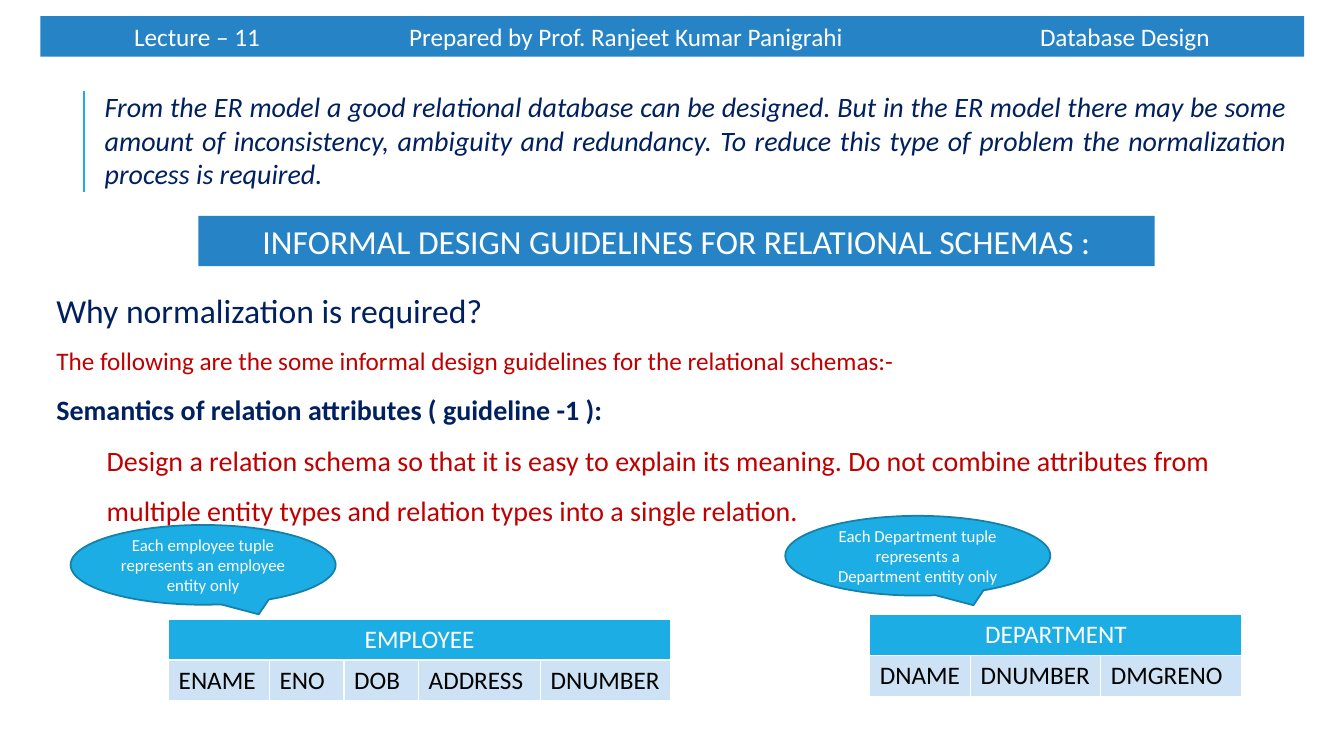
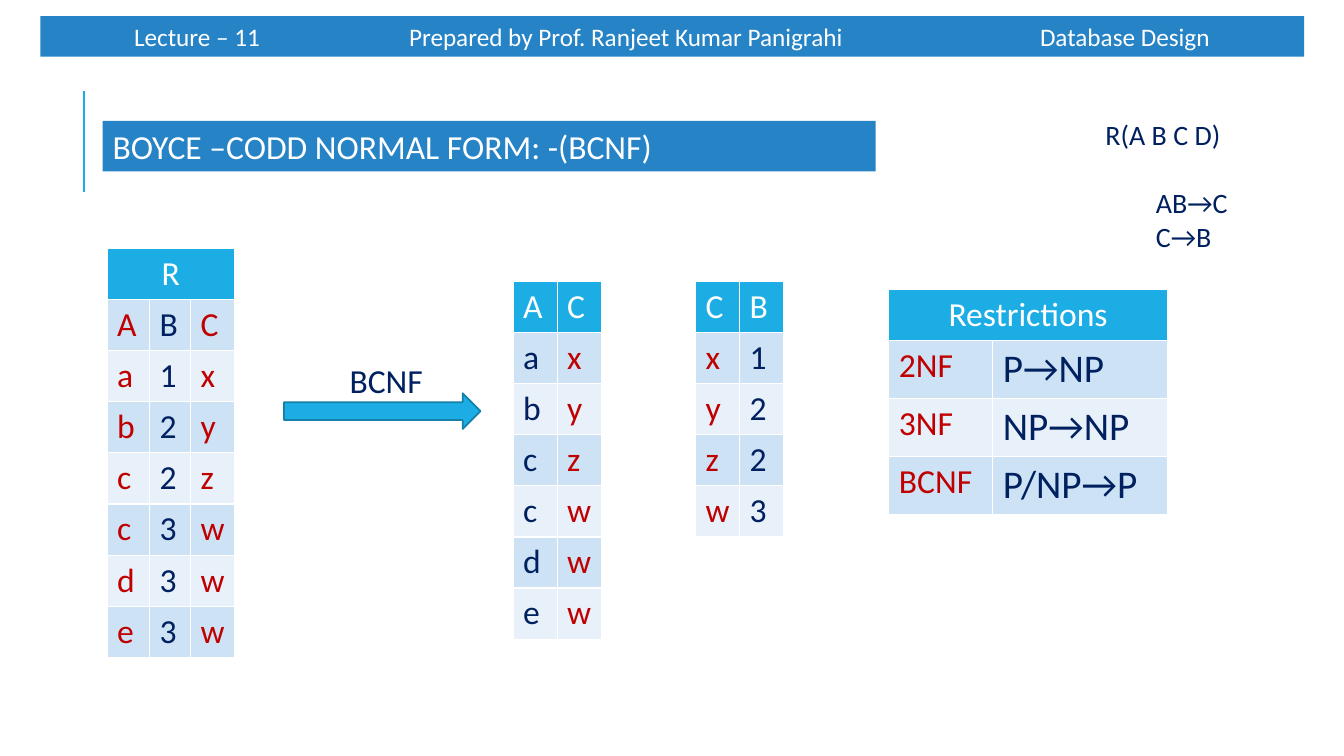
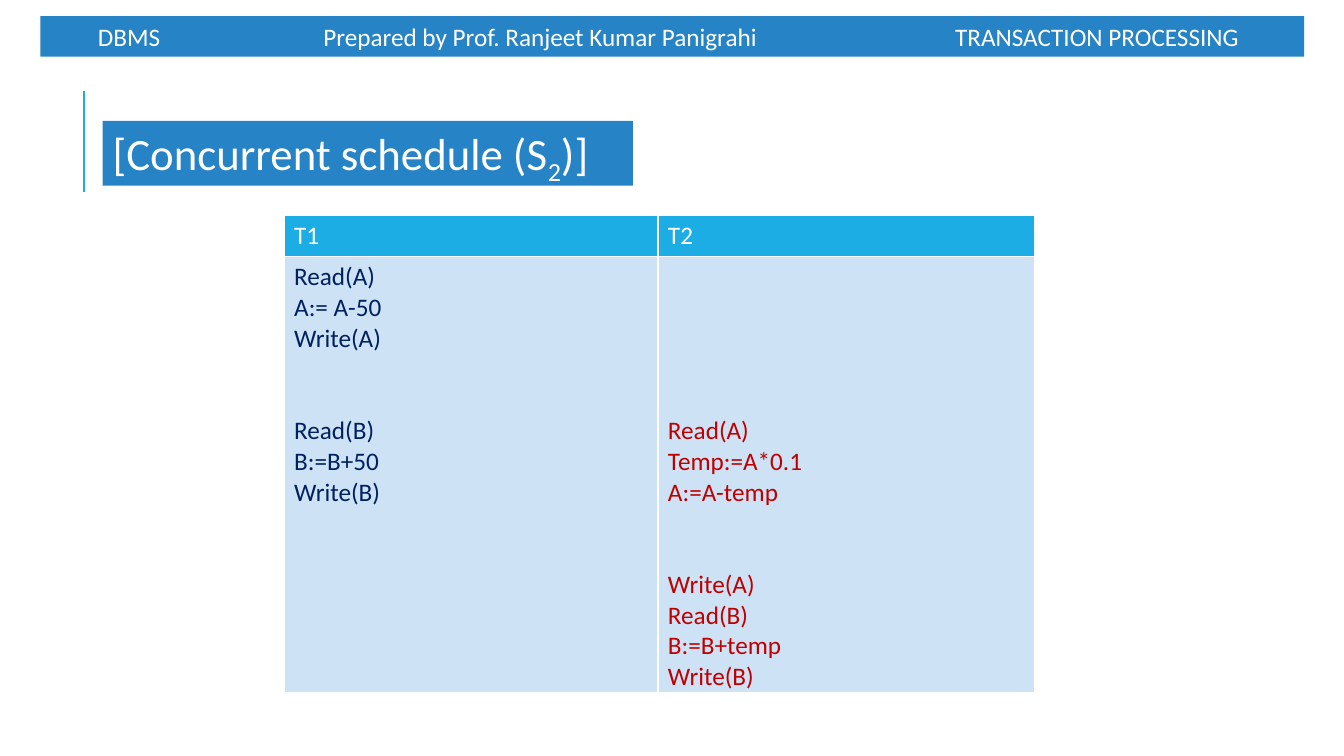
import pptx
import pptx.util
import pptx.dml.color
import pptx.enum.shapes
import pptx.enum.text
import pptx.oxml
import pptx.oxml.ns

Cm = pptx.util.Cm
Pt = pptx.util.Pt
RGBColor = pptx.dml.color.RGBColor
SHAPE = pptx.enum.shapes.MSO_SHAPE
ALIGN = pptx.enum.text.PP_ALIGN
ANCHOR = pptx.enum.text.MSO_ANCHOR
qn = pptx.oxml.ns.qn

FONT = "Calibri"
WHITE = RGBColor(0xFF, 0xFF, 0xFF)
BLACK = RGBColor(0, 0, 0)
NAVY = RGBColor(0x00, 0x20, 0x60)
RED = RGBColor(0xC0, 0x00, 0x00)
BLUE = RGBColor(0x26, 0x83, 0xC6)
CYAN = RGBColor(0x1C, 0xAD, 0xE4)
CYAN_EDGE = RGBColor(0x15, 0x80, 0xA9)
STRIPES = (RGBColor(0xCD, 0xE3, 0xF5), RGBColor(0xE8, 0xF1, 0xFA))

# Content: lengths in centimetres, text sizes in points
AUTHOR = "Prepared by Prof. Ranjeet Kumar Panigrahi"
# Band: three texts, left inset, tab stops measured from the inset
DESIGN_BAND = (("Lecture – 11", AUTHOR, "Database Design"), 2.36, (6.93, 22.83))
TRANSACTION_BAND = (("DBMS", AUTHOR, "TRANSACTION PROCESSING"), 1.45, (5.68, 21.6))

INTRODUCTION = (
    "From the ER model a good relational database can be designed. But in the ER model "
    "there may be some amount of inconsistency, ambiguity and redundancy. To reduce this "
    "type of problem the normalization process is required."
)
GUIDELINES = [
    dict(text="Why normalization is required?", size=24),
    dict(text="The following are the some informal design guidelines for the relational schemas:-",
         size=18, color=RED),
    dict(text="Semantics of relation attributes ( guideline -1 ):", bold=True),
    dict(text="Design a relation schema so that it is easy to explain its meaning. Do not combine "
              "attributes from multiple entity types and relation types into a single relation.",
         color=RED, indent=1.27),
]
CALLOUTS = [
    (1.78, 13.23, "Each employee tuple represents an employee entity only"),
    (19.79, 13.0, "Each Department tuple represents a Department entity only"),
]
SCHEMA_TABLES = [
    dict(left=4.25, top=15.6, widths=(2.54, 1.88, 1.88, 3.07, 3.28), header=["EMPLOYEE"],
         rows=[("ENAME", "ENO", "DOB", "ADDRESS", "DNUMBER")]),
    dict(left=21.92, top=15.49, widths=(2.54, 3.28, 3.56), header=["DEPARTMENT"],
         rows=[("DNAME", "DNUMBER", "DMGRENO")]),
]
BCNF_TABLES = [
    dict(left=2.7, top=6.26, widths=(1.07, 1.03, 1.11), header=["R"], colors=(RED, NAVY, RED),
         rows=["ABC", "a1x", "b2y", "c2z", "c3w", "d3w", "e3w"]),
    dict(left=12.93, top=7.09, widths=(1.11, 1.11), header="AC", colors=(NAVY, RED),
         rows=["ax", "by", "cz", "cw", "dw", "ew"]),
    dict(left=17.53, top=7.09, widths=(1.11, 1.11), header="CB", colors=(RED, NAVY),
         rows=["x1", "y2", "z2", "w3"]),
    dict(left=22.4, top=7.29, widths=(2.62, 4.4), header=["Restrictions"], colors=(RED, NAVY),
         rows=[("2NF", "P→NP"), ("3NF", "NP→NP"), ("BCNF", "P/NP→P")],
         sizes=(24, 28), row_height=1.44),
]
DEPENDENCIES = [
    dict(text="R(A B C D)"),
    dict(text="AB→C", indent=1.27, before=24.4),
    dict(text="C→B", indent=1.27),
]
# Each transaction: colour, inset above its first step, blocks of steps
SCHEDULE = [
    (NAVY, 0.13, [["Read(A)", "A:= A-50", "Write(A)"], ["Read(B)", "B:=B+50", "Write(B)"]]),
    (RED, 4.0, [["Read(A)", "Temp:=A*0.1", "A:=A-temp"],
                ["Write(A)", "Read(B)", "B:=B+temp", "Write(B)"]]),
]
BLOCK_GAP = 44


def add_run(paragraph, text, size, color, bold=False, italic=False):
    run = paragraph.add_run()
    run.text = text
    font = run.font
    font.name, font.size, font.bold, font.italic = FONT, Pt(size), bold, italic
    font.color.rgb = color
    return run


def fill_frame(frame, items, spacing=None, align=None):
    """Write a list of paragraph descriptions into a text frame."""
    frame.word_wrap = True
    for index, item in enumerate(items):
        paragraph = frame.paragraphs[0] if index == 0 else frame.add_paragraph()
        if "indent" in item:
            properties = paragraph._p.get_or_add_pPr()
            properties.set("marL", str(Cm(item["indent"])))
            properties.set("indent", "0")
        if "before" in item:
            paragraph.space_before = Pt(item["before"])
        if spacing:
            paragraph.line_spacing = spacing
        paragraph.alignment = align or ALIGN.LEFT
        add_run(paragraph, item["text"], item.get("size", 20), item.get("color", NAVY),
                item.get("bold", False), item.get("italic", False))


def add_text(slide, box, items, **options):
    frame = slide.shapes.add_textbox(*map(Cm, box)).text_frame
    fill_frame(frame, items, **options)
    return frame


def add_block(slide, kind, box, fill, edge=None):
    shape = slide.shapes.add_shape(kind, *map(Cm, box))
    shape.shadow.inherit = False
    shape.fill.solid()
    shape.fill.fore_color.rgb = fill
    if edge is None:
        shape.line.fill.background()
    else:
        shape.line.color.rgb = edge
        shape.line.width = Pt(1.25)
    return shape


def add_title(slide, box, text, size, align=ALIGN.LEFT):
    frame = add_block(slide, SHAPE.RECTANGLE, box, BLUE).text_frame
    frame.vertical_anchor = ANCHOR.TOP
    fill_frame(frame, [dict(text=text, size=size, color=WHITE)], align=align)
    return frame.paragraphs[0]


def add_slide(presentation, band):
    """Start a slide with the shared top band and accent line."""
    slide = presentation.slides.add_slide(presentation.slide_layouts[6])
    line = slide.shapes.add_connector(pptx.enum.shapes.MSO_CONNECTOR.STRAIGHT,
                                      Cm(2.11), Cm(4.83), Cm(2.11), Cm(2.29))
    line.line.color.rgb = CYAN
    line.line.width = Pt(1.5)
    pptx.oxml.ns  # namespace map used by qn
    line._element.spPr.append(line._element.spPr.makeelement(qn("a:effectLst"), {}))

    texts, inset, stops = band
    frame = add_block(slide, SHAPE.RECTANGLE, (1.02, 0.41, 31.85, 1.02), BLUE).text_frame
    frame.vertical_anchor = ANCHOR.TOP
    frame.word_wrap = True
    frame.margin_left = Cm(inset)
    paragraph = frame.paragraphs[0]
    paragraph.alignment = ALIGN.LEFT
    properties = paragraph._p.get_or_add_pPr()
    tabs = properties.makeelement(qn("a:tabLst"), {})
    properties.append(tabs)
    for stop in stops:
        tabs.append(tabs.makeelement(qn("a:tab"), {"pos": str(Cm(stop)), "algn": "l"}))
    add_run(paragraph, "\t".join(texts), 18, WHITE)
    return slide


def style_cell(cell, fill):
    """Give a cell white borders and a solid fill."""
    properties = cell._tc.get_or_add_tcPr()
    for side in ("lnL", "lnR", "lnT", "lnB"):
        border = properties.makeelement(qn("a:" + side), {"w": str(Pt(1))})
        solid = border.makeelement(qn("a:solidFill"), {})
        solid.append(solid.makeelement(qn("a:srgbClr"), {"val": str(WHITE)}))
        border.append(solid)
        properties.append(border)
    cell.fill.solid()
    cell.fill.fore_color.rgb = fill


def add_table(slide, left, top, widths, header, rows, colors=None, sizes=None,
              size=24, header_height=1.27, row_height=1.27):
    """A one-item header spans all columns; body rows are striped."""
    height = header_height + row_height * len(rows)
    table = slide.shapes.add_table(len(rows) + 1, len(widths), Cm(left), Cm(top),
                                   Cm(sum(widths)), Cm(height)).table
    for column, width in zip(table.columns, widths):
        column.width = Cm(width)
    for index, row in enumerate(table.rows):
        row.height = Cm(row_height if index else header_height)
        for cell in row.cells:
            style_cell(cell, STRIPES[(index - 1) % 2] if index else CYAN)
    spans = len(header) == 1
    if spans:
        table.cell(0, 0).merge(table.cell(0, len(widths) - 1))
    for column, text in enumerate(header):
        fill_frame(table.cell(0, column).text_frame, [dict(text=text, size=size, color=WHITE)],
                   align=ALIGN.CENTER if spans else ALIGN.LEFT)
    for index, row in enumerate(rows, 1):
        for column, text in enumerate(row):
            item = dict(text=text, size=sizes[column] if sizes else size,
                        color=colors[column] if colors else BLACK)
            fill_frame(table.cell(index, column).text_frame, [item])
    return table


def build_guidelines(presentation):
    slide = add_slide(presentation, DESIGN_BAND)
    add_title(slide, (5.0, 5.44, 24.1, 1.27),
              "INFORMAL DESIGN GUIDELINES FOR RELATIONAL SCHEMAS :", 24, ALIGN.CENTER)
    frame = add_text(slide, (1.14, 2.24, 31.29, 2.57),
                     [dict(text=INTRODUCTION, italic=True)], align=ALIGN.JUSTIFY)
    frame.vertical_anchor = ANCHOR.MIDDLE
    frame.margin_left = Cm(1.5)
    frame.margin_top = frame.margin_right = frame.margin_bottom = 0
    add_text(slide, (1.17, 6.68, 31.29, 6.81), GUIDELINES, spacing=1.5)
    for table in SCHEMA_TABLES:
        add_table(slide, size=18, header_height=1.03, row_height=1.03, **table)
    for left, top, text in CALLOUTS:
        callout = add_block(slide, SHAPE.OVAL_CALLOUT, (left, top, 6.68, 2.01), CYAN, CYAN_EDGE)
        callout.adjustments[0] = 0.21
        callout.adjustments[1] = 0.62
        callout.text_frame.vertical_anchor = ANCHOR.MIDDLE
        fill_frame(callout.text_frame, [dict(text=text, size=12, color=WHITE)],
                   align=ALIGN.CENTER)


def build_normal_form(presentation):
    slide = add_slide(presentation, DESIGN_BAND)
    add_title(slide, (2.59, 3.05, 19.48, 1.27), "BOYCE –CODD NORMAL FORM: -(BCNF)", 24)
    for table in BCNF_TABLES:
        add_table(slide, **table)
    add_block(slide, SHAPE.RIGHT_ARROW, (7.16, 9.91, 4.95, 0.9), CYAN, CYAN_EDGE)
    add_text(slide, (8.56, 8.94, 2.82, 1.27), [dict(text="BCNF", size=24)])
    add_text(slide, (27.61, 2.84, 4.14, 3.68), DEPENDENCIES)


def build_schedule(presentation):
    slide = add_slide(presentation, TRANSACTION_BAND)
    title = add_title(slide, (2.59, 3.05, 13.36, 1.63), "[Concurrent schedule (S", 32)
    subscript = add_run(title, "2", 32, WHITE)
    subscript._r.get_or_add_rPr().set("baseline", "-25000")
    add_run(title, ")]", 32, WHITE)
    table = add_table(slide, 7.16, 5.44, (9.42, 9.5), ("T1", "T2"), [()], size=18,
                      header_height=1.03, row_height=10.93)
    for column, (color, inset, blocks) in enumerate(SCHEDULE):
        cell = table.cell(1, column)
        cell.margin_top, cell.margin_bottom = Cm(inset), 0
        items = [dict(text=step, size=18, color=color) for block in blocks for step in block]
        items[len(blocks[0])]["before"] = BLOCK_GAP
        fill_frame(cell.text_frame, items)


def main():
    presentation = pptx.Presentation()
    presentation.slide_width, presentation.slide_height = Cm(33.87), Cm(19.05)
    build_guidelines(presentation)
    build_normal_form(presentation)
    build_schedule(presentation)
    presentation.save("out.pptx")


if __name__ == "__main__":
    main()
